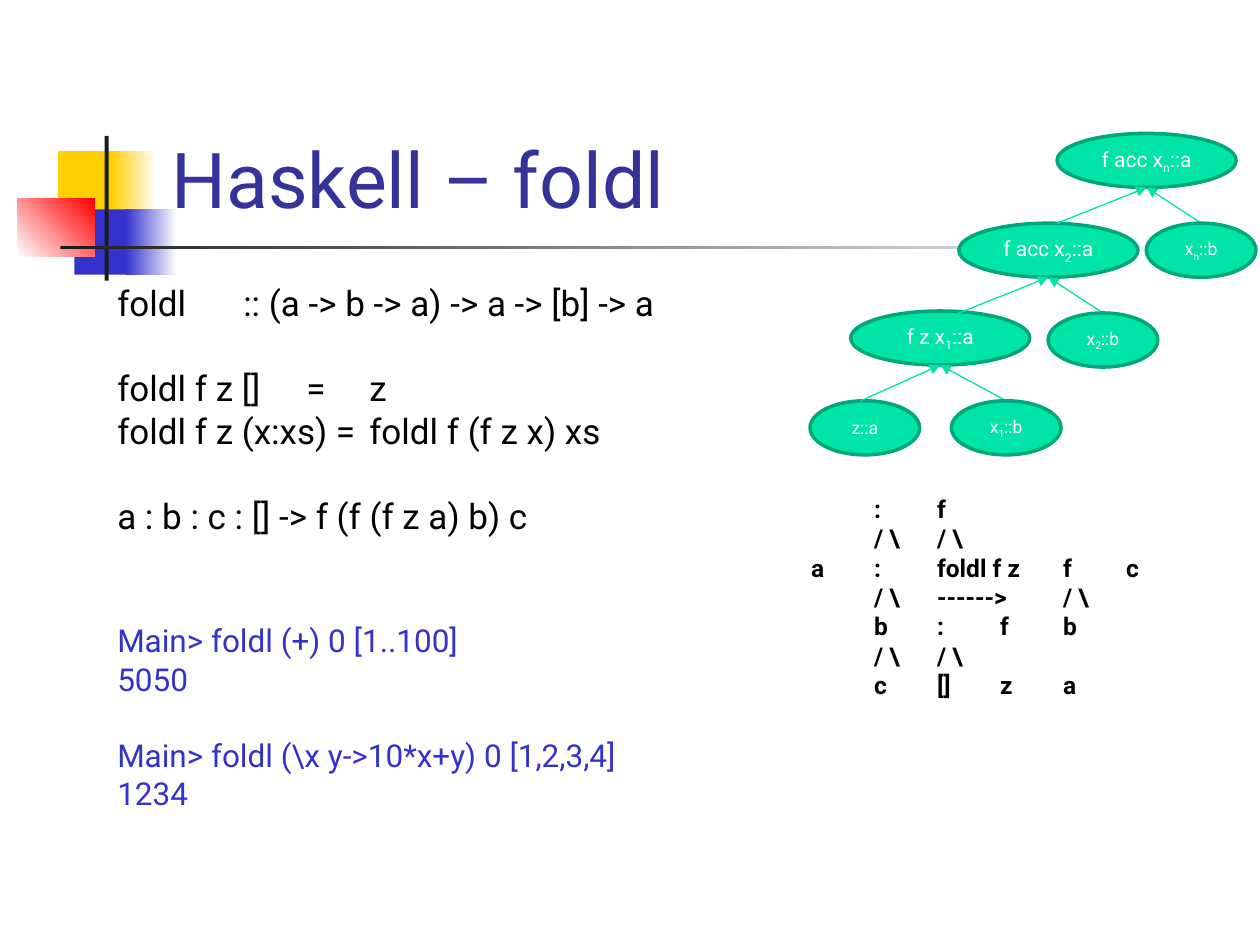
"""Build the Haskell foldl slide with its call tree and list diagram."""
from dataclasses import dataclass

from lxml import etree
from pptx import Presentation
from pptx.dml.color import RGBColor
from pptx.enum import shapes, text
from pptx.oxml import ns
from pptx.util import Cm, Pt


@dataclass(frozen=True)
class Theme:
    font: str = "Roboto"
    title: str = "333399"
    code: str = "000000"
    blue: str = "3333CC"
    gold: str = "FFCF01"
    red: str = "FF0000"
    dark: str = "1C1C1C"
    white: str = "FFFFFF"
    node: str = "00E4A8"
    edge: str = "00A77A"
    arrow: str = "00E4A7"
    head: int = 44
    large: int = 20
    small: int = 18
    tree: int = 14
    wide: int = 12
    leaf: int = 10


@dataclass(frozen=True)
class Box:
    x: float
    y: float
    w: float
    h: float

    def cm(self) -> tuple:
        return Cm(self.x), Cm(self.y), Cm(self.w), Cm(self.h)


@dataclass(frozen=True)
class Bar:
    box: Box
    start: str
    end: str = ""
    angle: int = 0


@dataclass(frozen=True)
class Line:
    words: str
    tabs: tuple = ()
    gap: float = 0
    size: int = 20
    color: str = "000000"


@dataclass(frozen=True)
class Level:
    words: str
    leaf: str
    x: float
    y: float
    foot: float
    side: float


T = Theme()
WIDE, SLIM, TALL, DROP = 3.61, 2.21, 1.09, 1.81

BARS = [
    Bar(Box(1.17, 3.05, 1.22, 1.32), T.gold),
    Bar(Box(2.24, 3.05, 0.91, 1.32), T.gold, T.white),
    Bar(Box(1.5, 4.22, 1.17, 1.32), T.blue),
    Bar(Box(2.54, 4.22, 1.02, 1.32), T.blue, T.white),
    Bar(Box(0.36, 4.01, 1.55, 1.17), T.white, T.red, 45),
    Bar(Box(2.11, 2.74, 0.08, 2.92), T.dark),
    Bar(Box(1.22, 4.95, 22.86, 0.08), T.dark, T.white),
]

CODE = [
    Line("foldl\t:: (a -> b -> a) -> a -> [b] -> a", (3.5,)),
    Line("foldl f z []\t=\tz", (4.14, 4.88), 29.3),
    Line("foldl f z (x:xs) =\tfoldl f (f z x) xs", (5.15,), 5),
    Line("a : b : c : [] -> f (f (f z a) b) c", (), 29.3),
    Line("Main> foldl (+) 0 [1..100]", (), 53, T.small, T.blue),
    Line("5050", (), 4.5, T.small, T.blue),
    Line("Main> foldl (\\x y->10*x+y) 0 [1,2,3,4]", (), 26.5, T.small, T.blue),
    Line("1234", (), 4.5, T.small, T.blue),
]

TREE = [Line(words, tabs, size=T.tree) for words, tabs in (
    ("\t:\tf", (0.36, 4.07)),
    ("\t/ \\\t/ \\", (0.12, 3.85)),
    ("a\t:\tfoldl f z\tf\tc", (0.62, 1.25, 3.91, 4.48)),
    ("\t/ \\\t------>\t/ \\", (0.48, 1.51, 3.41)),
    ("\tb\t:\tf\tb", (0.24, 1.01, 3.49, 4.05)),
    ("\t/ \\\t/ \\", (0.73, 3.23)),
    ("\tc\t[]\tz\ta", (0.6, 1.11, 3.13, 3.75)),
)]

LEVELS = [
    Level("f z x_1_::a", "x_1_::b", 17.15, 6.27, 17.35, 19.18),
    Level("f acc x_2_::a", "x_2_::b", 19.33, 4.5, 19.33, 21.13),
    Level("f acc x_n_::a", "x_n_::b", 21.31, 2.69, 21.31, 23.11),
]


def tint(fill, color: str) -> None:
    """Give a fill one solid colour."""
    fill.solid()
    fill.fore_color.rgb = RGBColor.from_string(color)


def write(shape, lines: list, *, align=text.PP_ALIGN.LEFT, anchor=text.MSO_ANCHOR.TOP,
          bold: bool = False, space: float = 1.0) -> None:
    """Fill a shape with lines, in which _x_ marks a subscript."""
    frame = shape.text_frame
    frame.word_wrap = True
    frame.auto_size = text.MSO_AUTO_SIZE.NONE
    frame.vertical_anchor = anchor
    for i, line in enumerate(lines):
        para = frame.add_paragraph() if i else frame.paragraphs[0]
        props = para._p.get_or_add_pPr()
        props.set("marL", "0")
        props.set("indent", "0")
        etree.SubElement(props, ns.qn("a:buNone"))
        if line.tabs:
            stops = etree.SubElement(props, ns.qn("a:tabLst"))
            for tab in line.tabs:
                etree.SubElement(stops, ns.qn("a:tab"), pos=str(int(Cm(tab))), algn="l")
        para.alignment = align
        para.line_spacing = space
        para.space_before = Pt(line.gap)
        for j, piece in enumerate(line.words.split("_")):
            run = para.add_run()
            run.text = piece
            run.font.name = T.font
            run.font.size = Pt(line.size)
            run.font.bold = bold
            run.font.color.rgb = RGBColor.from_string(line.color)
            if j % 2:
                run._r.get_or_add_rPr().set("baseline", "-25000")


def block(slide, bar: Bar) -> None:
    """Draw one plain or graded bar."""
    shape = slide.shapes.add_shape(shapes.MSO_SHAPE.RECTANGLE, *bar.box.cm())
    shape.shadow.inherit = False
    shape.line.fill.background()
    if not bar.end:
        tint(shape.fill, bar.start)
        return
    shape.fill.gradient()
    shape.fill.gradient_angle = bar.angle
    for stop, color in zip(shape.fill.gradient_stops, (bar.start, bar.end)):
        stop.color.rgb = RGBColor.from_string(color)


def node(slide, box: Box, words: str, size: int) -> None:
    """Draw one labelled oval."""
    shape = slide.shapes.add_shape(shapes.MSO_SHAPE.OVAL, *box.cm())
    shape.shadow.inherit = False
    tint(shape.fill, T.node)
    tint(shape.line.fill, T.edge)
    shape.line.width = Pt(2)
    write(shape, [Line(words, size=size, color=T.white)],
          align=text.PP_ALIGN.CENTER, anchor=text.MSO_ANCHOR.MIDDLE)


def arrow(slide, x: float, y: float, to_x: float, to_y: float) -> None:
    """Draw one thin arrow."""
    link = slide.shapes.add_connector(
        shapes.MSO_CONNECTOR.STRAIGHT, Cm(x), Cm(y), Cm(to_x), Cm(to_y))
    tint(link.line.fill, T.arrow)
    link.line.width = Pt(0.75)
    etree.SubElement(link.line._get_or_add_ln(), ns.qn("a:tailEnd"), type="triangle")
    etree.SubElement(link._element.spPr, ns.qn("a:effectLst"))


def place(shape, box: Box) -> None:
    """Move a placeholder to a box and to the front."""
    shape.left, shape.top, shape.width, shape.height = box.cm()
    shape.element.getparent().append(shape.element)


def main() -> None:
    """Build and save the slide."""
    deck = Presentation()
    deck.slide_width, deck.slide_height = Cm(25.4), Cm(19.05)
    slide = deck.slides.add_slide(deck.slide_layouts[1])
    for bar in BARS:
        block(slide, bar)
    title, body = slide.shapes.title, slide.placeholders[1]
    place(title, Box(3.2, 0.58, 21.64, 4.06))
    write(title, [Line("Haskell – foldl", size=T.head, color=T.title)],
          anchor=text.MSO_ANCHOR.BOTTOM)
    place(body, Box(2.11, 5.72, 15.24, 11.33))
    write(body, CODE, space=0.8)
    write(slide.shapes.add_textbox(*Box(16.1, 9.83, 7.19, 4.42).cm()), TREE, bold=True)
    node(slide, Box(16.33, 8.08, SLIM, TALL), "z::a", T.leaf)
    for lev in LEVELS:
        base = lev.y + DROP
        node(slide, Box(lev.x, lev.y, WIDE, TALL), lev.words, T.wide)
        for foot in (lev.foot, lev.side + SLIM / 2):
            arrow(slide, foot, base, lev.x + WIDE / 2, lev.y + TALL)
        node(slide, Box(lev.side, base, SLIM, TALL), lev.leaf, T.leaf)
    deck.save("out.pptx")


if __name__ == "__main__":
    main()
